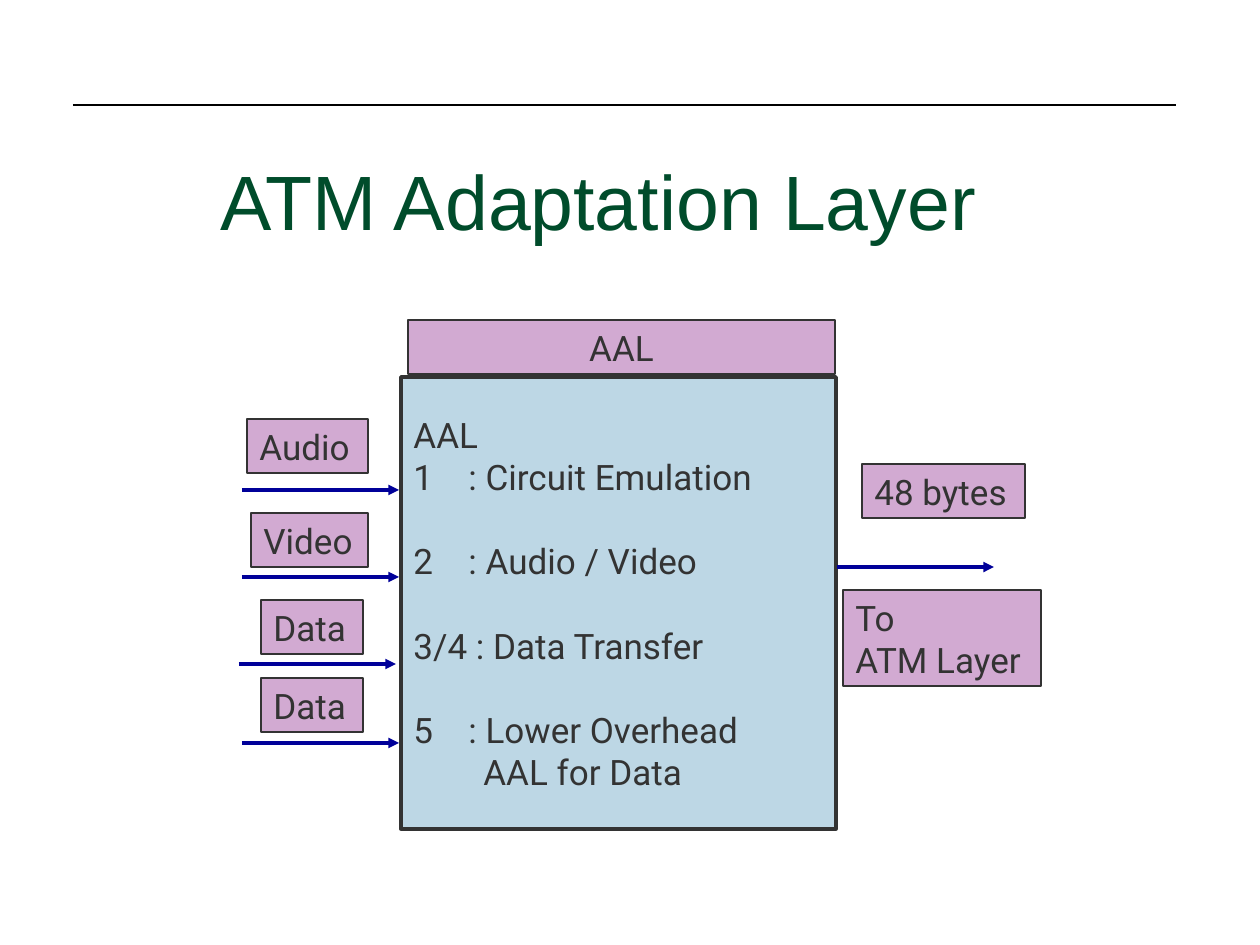
from dataclasses import dataclass

from pptx import Presentation
from pptx.dml.color import RGBColor
from pptx.enum.shapes import MSO_CONNECTOR as Connector
from pptx.enum.shapes import MSO_SHAPE as Shape
from pptx.enum.text import MSO_ANCHOR as Anchor
from pptx.enum.text import PP_ALIGN as Align
from pptx.oxml.ns import qn
from pptx.slide import Slide
from pptx.util import Emu, Inches, Pt
from lxml.etree import SubElement

BLACK = RGBColor(0x00, 0x00, 0x00)
GREY = RGBColor(0x33, 0x33, 0x33)
NAVY = RGBColor(0x00, 0x00, 0x99)
GREEN = RGBColor(0x00, 0x4C, 0x2B)
BLUE = RGBColor(0xBD, 0xD7, 0xE5)
PINK = RGBColor(0xD2, 0xAA, 0xD2)

PX_PER_INCH = 126
ARROW_LENGTH = 157
LABEL_HEIGHT = 54


def px(value):
    return Emu(round(value * Inches(1) / PX_PER_INCH))


@dataclass
class Painter:
    slide: Slide
    font: str = "Roboto"
    size: int = 20

    def style(self, frame, font, size, color):
        for para in frame.paragraphs:
            for span in para.runs:
                span.font.name = font
                span.font.size = Pt(size)
                span.font.color.rgb = color

    def title(self, text, left, top, width, height):
        box = self.slide.shapes.add_textbox(*map(px, (left, top, width, height)))
        frame = box.text_frame
        frame.word_wrap = True
        frame.vertical_anchor = Anchor.BOTTOM
        frame.text = text
        frame.paragraphs[0].alignment = Align.CENTER
        self.style(frame, "Arial", 44, GREEN)

    def box(self, text, left, top, width, height, fill=PINK, border=1,
            align=Align.LEFT, anchor=Anchor.TOP, wrap=False):
        box = self.slide.shapes.add_shape(
            Shape.RECTANGLE, *map(px, (left, top, width, height)))
        box.shadow.inherit = False
        box.fill.solid()
        box.fill.fore_color.rgb = fill
        box.line.color.rgb = GREY
        box.line.width = Pt(border)
        frame = box.text_frame
        frame.word_wrap = wrap
        frame.vertical_anchor = anchor
        frame.text = text
        for para in frame.paragraphs:
            para.alignment = align
        self.style(frame, self.font, self.size, GREY)
        return box

    def service_list(self, lines, left, top, width, height, tab, indent):
        box = self.box("\n".join(lines), left, top, width, height, fill=BLUE,
                       border=2, anchor=Anchor.MIDDLE, wrap=True)
        heading, first, *others, continuation = box.text_frame.paragraphs
        for para in (first, *others):
            stops = SubElement(para._p.get_or_add_pPr(), qn("a:tabLst"))
            SubElement(stops, qn("a:tab"), pos=str(px(tab)), algn="l")
        for para in others:
            para.space_before = Pt(24)
        continuation._p.get_or_add_pPr().set("marL", str(px(indent)))

    def line(self, left, right, y, color, width):
        line = self.slide.shapes.add_connector(
            Connector.STRAIGHT, *map(px, (left, y, right, y)))
        line.line.color.rgb = color
        line.line.width = Pt(width)
        SubElement(line._element.spPr, qn("a:effectLst"))
        return line

    def arrow(self, left, y):
        arrow = self.line(left, left + ARROW_LENGTH, y, NAVY, 2)
        SubElement(arrow.line._get_or_add_ln(), qn("a:tailEnd"), type="triangle")


def main():
    deck = Presentation()
    deck.slide_width, deck.slide_height = Inches(10), Inches(7.5)
    page = Painter(deck.slides.add_slide(deck.slide_layouts[6]))

    page.line(73, 1176, 105, BLACK, 0.75)
    page.service_list(
        ["AAL", "1\t: Circuit Emulation", "2\t: Audio / Video",
         "3/4 : Data Transfer", "5\t: Lower Overhead", "AAL for Data"],
        401, 377, 435, 452, tab=55, indent=70)

    for left, y in ((242, 490), (242, 577), (239, 664), (242, 743), (837, 567)):
        page.arrow(left, y)

    for text, left, top, width in (
        ("Audio", 247, 419, 121),
        ("Video", 251, 513, 117),
        ("Data", 261, 600, 102),
        ("Data", 261, 678, 102),
        ("48 bytes", 862, 464, 163),
    ):
        page.box(text, left, top, width, LABEL_HEIGHT)
    page.box("To\nATM Layer", 843, 590, 198, 96)
    page.box("AAL", 408, 320, 427, LABEL_HEIGHT, align=Align.CENTER, wrap=True)

    page.title("ATM Adaptation Layer", 63, 168, 1071, 84)
    deck.save("out.pptx")


if __name__ == "__main__":
    main()
